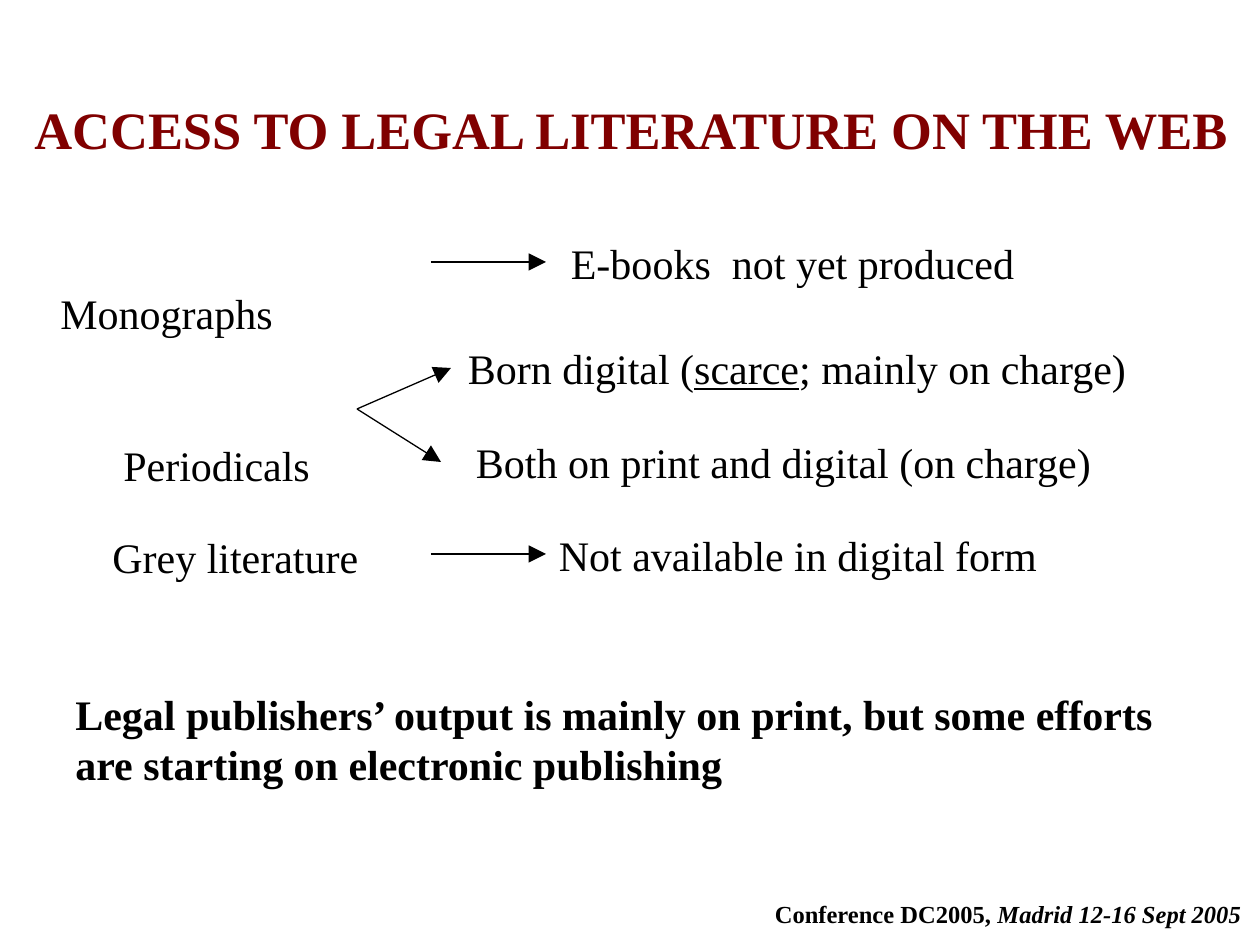
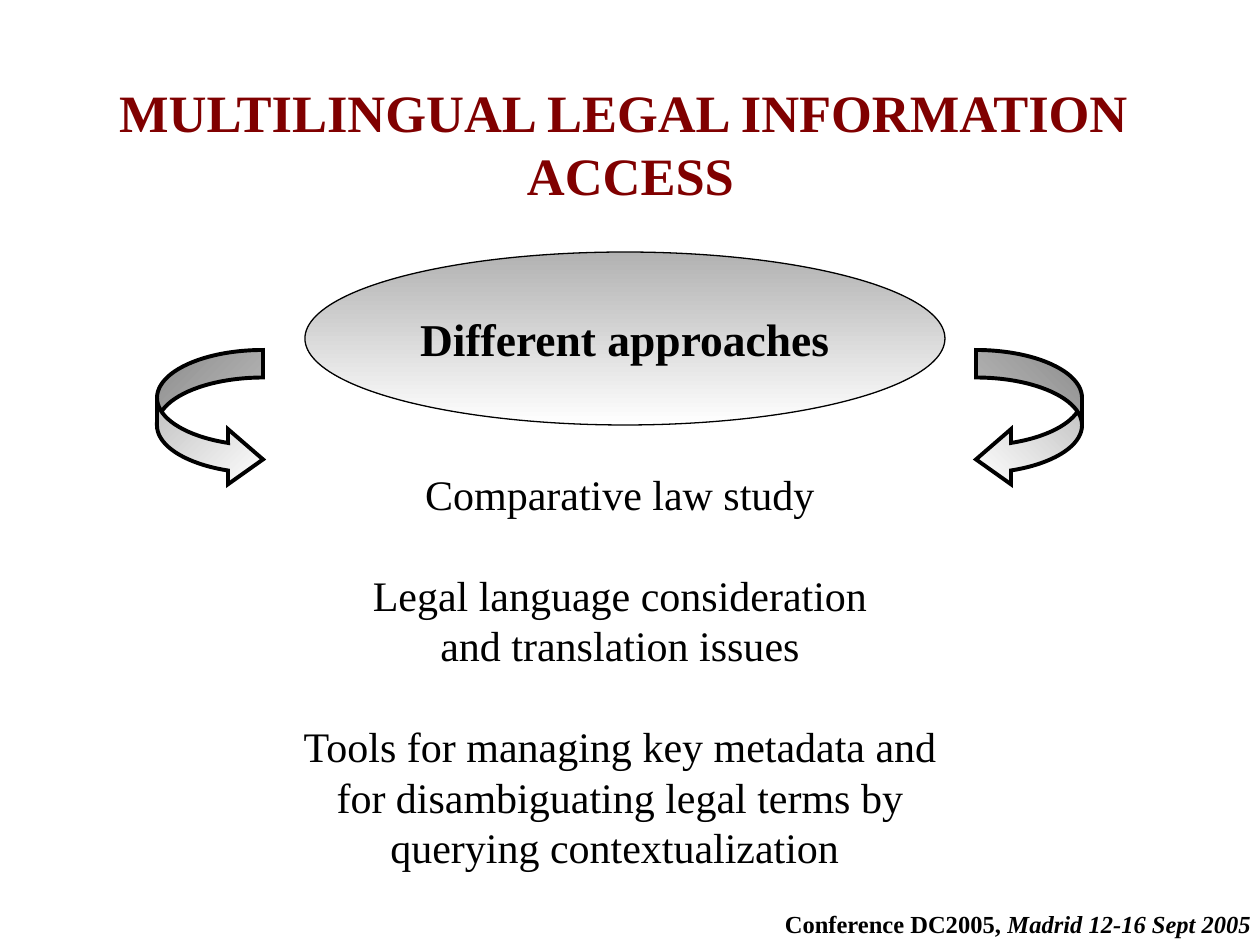
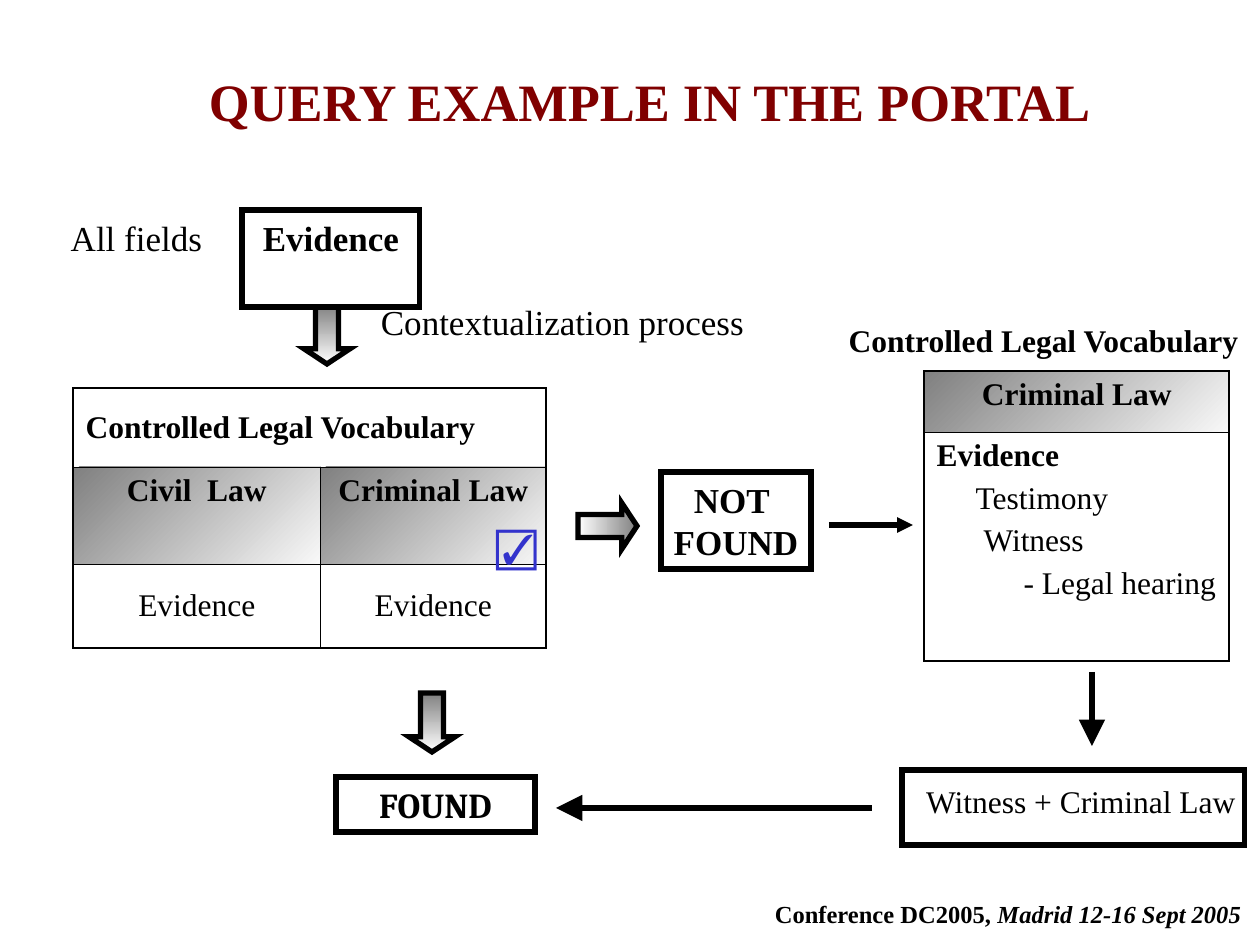
from pptx import Presentation
from pptx.dml.color import RGBColor
from pptx.enum.shapes import MSO_CONNECTOR, MSO_SHAPE
from pptx.enum.text import MSO_ANCHOR, MSO_AUTO_SIZE, PP_ALIGN
from pptx.oxml import parse_xml
from pptx.oxml.ns import nsdecls
from pptx.util import Emu, Pt


class Theme:
    font = "Times New Roman"
    black, white, maroon, blue = "000000", "FFFFFF", "800000", "3333CC"
    silver, grey, pale = "B2B2B2", "808080", "F8F8F8"
    title, lead, body, box, small, footer = 30, 26, 24, 20, 18, 14
    hairline, thick, curve = 0.75, 3, 2.25
    inner, outer = 0.45, 1.08


def px(*lengths):
    """Convert pixels (126 to the inch) to EMU."""
    return [Emu(round(n * 914400 / 126)) for n in lengths]


def write(tf, text, size=Theme.body, bold=False, color=Theme.black, font=Theme.font,
          align=PP_ALIGN.CENTER, anchor=MSO_ANCHOR.TOP, wrap=True,
          accent="italic", gaps={}, indents={}):
    """Newlines part paragraphs; every second part between bars gets the accent."""
    tf.word_wrap = wrap
    tf.vertical_anchor = anchor
    for i, line in enumerate(text.split("\n")):
        p = tf.paragraphs[0] if i == 0 else tf.add_paragraph()
        p.alignment = align
        if i in gaps:
            p.space_before = Pt(gaps[i])
        if i in indents:
            p._p.get_or_add_pPr().set("marL", str(px(indents[i])[0]))
        for j, part in enumerate(line.split("|")):
            r = p.add_run()
            r.text = part
            r.font.name, r.font.size, r.font.bold = font, Pt(size), bold
            r.font.color.rgb = RGBColor.from_string(color)
            if j % 2:
                setattr(r.font, accent, True)


prs = Presentation()
prs.slide_width, prs.slide_height = px(1260, 945)
LEFT, MIDDLE = PP_ALIGN.LEFT, MSO_ANCHOR.MIDDLE

# Slides with title and footer
pages = [
    ("ACCESS TO LEGAL LITERATURE ON THE WEB", (12, 91, 1239, 76), (766, 893)),
    ("MULTILINGUAL LEGAL INFORMATION \nACCESS", (91, 74, 1079, 139), (776, 903)),
    ("QUERY EXAMPLE IN THE PORTAL", (187, 63, 926, 76), (766, 893)),
]
slides = []
for title, box, corner in pages:
    s = prs.slides.add_slide(prs.slide_layouts[5])
    sp = s.shapes.title
    sp.left, sp.top, sp.width, sp.height = px(*box)
    sp.text_frame.auto_size = MSO_AUTO_SIZE.NONE
    write(sp.text_frame, title, size=Theme.title, bold=True, color=Theme.maroon)
    tf = s.shapes.add_textbox(*px(*corner, 484, 42)).text_frame
    tf.margin_left = tf.margin_right = 0
    write(tf, "Conference DC2005,| Madrid 12-16 Sept 2005", size=Theme.footer, bold=True)
    slides.append(s)
access, approaches, query = slides

# Gradients: fill, first colour, last colour, angle counted anticlockwise
gradients = []

# Vocabulary tables: each row has its height, shading, texts and format
heading = dict(bold=True)
tables = [
    ((73, 388), (247, 226), [
        (79, False, ["Controlled Legal Vocabulary"], dict(bold=True, align=LEFT, anchor=MIDDLE)),
        (97, True, ["Civil  Law", "Criminal Law"], heading),
        (84, False, ["Evidence", "Evidence"], dict(anchor=MIDDLE)),
    ]),
    ((924, 371), (305,), [
        (61, True, ["Criminal Law"], heading),
        (229, False, ["Evidence\nTestimony\nWitness\n- Legal hearing"],
         dict(align=LEFT, gaps={1: 4.5, 2: 4.5, 3: 4.5}, indents={1: 39, 2: 47, 3: 87})),
    ]),
]
for corner, widths, rows in tables:
    size = sum(widths), sum(row[0] for row in rows)
    tbl = query.shapes.add_table(len(rows), len(widths), *px(*corner, *size)).table
    tbl.first_row = tbl.horz_banding = False
    for col, width in zip(tbl.columns, px(*widths)):
        col.width = width
    for y, (height, shaded, texts, fmt) in enumerate(rows):
        tbl.rows[y].height = px(height)[0]
        if len(texts) < len(widths):
            tbl.cell(y, 0).merge(tbl.cell(y, len(widths) - 1))
        for x, text in enumerate(texts):
            cell = tbl.cell(y, x)
            cell.margin_right = 0 if fmt.get("indents") else px(12)[0]
            write(cell.text_frame, text, size=Theme.small, **fmt)
            cell.vertical_anchor = fmt.get("anchor", MSO_ANCHOR.TOP)
            edges = {"L": x == 0, "R": x == len(texts) - 1,
                     "T": y == 0, "B": y == len(rows) - 1}
            for side, outside in edges.items():
                width = Pt(Theme.outer if outside else Theme.inner)
                cell._tc.get_or_add_tcPr().append(parse_xml(
                    f'<a:ln{side} {nsdecls("a")} w="{width}"><a:solidFill>'
                    f'<a:srgbClr val="{Theme.black}"/></a:solidFill></a:ln{side}>'))
            if shaded:
                gradients.append((cell.fill, Theme.grey, Theme.pale, 315))
            else:
                cell.fill.background()
# The first entry of the second vocabulary is its headword
tbl.cell(1, 0).text_frame.paragraphs[0].runs[0].font.bold = True

# Shapes: slide, kind, box, line width, gradient, adjustments, text, format
block = (0.5, 0.33)
curl = (0.26, 0.52, 0.33)
fade = (Theme.grey, Theme.white, 270)
strong = dict(size=Theme.box, bold=True)
shapes = [
    (approaches, MSO_SHAPE.OVAL, (305, 252, 640, 173), Theme.hairline,
     (Theme.silver, Theme.white, 270), (), "Different approaches",
     dict(size=Theme.lead, bold=True, anchor=MIDDLE)),
    (approaches, MSO_SHAPE.CURVED_RIGHT_ARROW, (157, 350, 106, 137), Theme.curve,
     (Theme.white, Theme.silver, 135), curl, "", {}),
    (approaches, MSO_SHAPE.CURVED_LEFT_ARROW, (976, 350, 106, 137), Theme.curve,
     (Theme.white, Theme.silver, 45), curl, "", {}),
    (query, MSO_SHAPE.DOWN_ARROW, (304, 305, 46, 59), Theme.thick, fade, block, "", {}),
    (query, MSO_SHAPE.DOWN_ARROW, (409, 693, 46, 59), Theme.thick, fade, block, "", {}),
    (query, MSO_SHAPE.RIGHT_ARROW, (578, 503, 59, 46), Theme.thick,
     (Theme.white, Theme.grey, 0), block, "", {}),
    (query, MSO_SHAPE.RECTANGLE, (242, 210, 178, 97), Theme.thick, None, (),
     "Evidence", strong),
    (query, MSO_SHAPE.RECTANGLE, (336, 777, 199, 55), Theme.thick, None, (),
     "FOUND", dict(strong, font="Cambria")),
    (query, MSO_SHAPE.RECTANGLE, (661, 472, 150, 97), Theme.thick, None, (),
     "NOT \nFOUND", dict(strong, wrap=False)),
    (query, MSO_SHAPE.RECTANGLE, (902, 770, 343, 75), Theme.thick, None, (), "", {}),
]
for s, kind, box, width, gradient, adjustments, text, fmt in shapes:
    sp = s.shapes.add_shape(kind, *px(*box))
    sp.shadow.inherit = False
    sp.line.color.rgb = RGBColor.from_string(Theme.black)
    sp.line.width = Pt(width)
    sp.line._get_or_add_ln().append(parse_xml(f'<a:miter {nsdecls("a")} lim="800000"/>'))
    for i, value in enumerate(adjustments):
        sp.adjustments[i] = value
    if gradient:
        gradients.append((sp.fill, *gradient))
    else:
        sp.fill.solid()
        sp.fill.fore_color.rgb = RGBColor.from_string(Theme.white)
    if text:
        write(sp.text_frame, text, **fmt)

for fill, first, last, angle in gradients:
    fill.gradient()
    fill.gradient_angle = angle
    for stop, color in zip(fill.gradient_stops, (first, last)):
        stop.color.rgb = RGBColor.from_string(color)

# Labels: slide, box, text, format
labels = [
    (access, (48, 281, 300, 63), "Monographs", dict(align=LEFT)),
    (access, (111, 433, 300, 63), "Periodicals", dict(align=LEFT)),
    (access, (100, 525, 300, 63), "Grey literature", dict(align=LEFT)),
    (access, (536, 231, 513, 63), "E-books  not yet produced", {}),
    (access, (397, 336, 800, 63), "Born digital (|scarce|; mainly on charge)",
     dict(accent="underline")),
    (access, (406, 430, 755, 63), "Both on print and digital (on charge)", {}),
    (access, (503, 523, 590, 63), "Not available in digital form", {}),
    (access, (63, 682, 1119, 113),
     "Legal publishers’ output is mainly on print, but some efforts "
     "are starting on electronic publishing", dict(bold=True, align=LEFT)),
    (approaches, (263, 462, 714, 466),
     "Comparative law study\nLegal language consideration\nand translation issues\n"
     "Tools for managing key metadata and for disambiguating legal terms by "
     "querying contextualization ", dict(gaps={1: 29, 3: 29})),
    (query, (51, 210, 171, 55), "All fields", dict(size=Theme.box)),
    (query, (315, 294, 495, 55), "Contextualization process", dict(size=Theme.box)),
    (query, (827, 315, 433, 50), "Controlled Legal Vocabulary",
     dict(size=Theme.small, bold=True)),
    (query, (902, 776, 358, 50), "Witness + Criminal Law", dict(size=Theme.small)),
    (query, (483, 514, 64, 63), "☑", dict(font="Arial", color=Theme.blue, wrap=False)),
]
for s, box, text, fmt in labels:
    write(s.shapes.add_textbox(*px(*box)).text_frame, text, **fmt)

# Arrows: slide, start and end, line width, head size
arrows = [
    (access, (431, 262, 546, 262), Theme.hairline, "lg"),
    (access, (357, 409, 451, 368), Theme.hairline, "lg"),
    (access, (357, 409, 441, 462), Theme.hairline, "lg"),
    (access, (431, 554, 546, 554), Theme.hairline, "lg"),
    (query, (829, 525, 913, 525), Theme.thick, "med"),
    (query, (1092, 672, 1092, 746), Theme.thick, "lg"),
    (query, (872, 808, 556, 808), Theme.thick, "lg"),
]
for s, ends, width, head in arrows:
    sp = s.shapes.add_connector(MSO_CONNECTOR.STRAIGHT, *px(*ends))
    sp.line.color.rgb = RGBColor.from_string(Theme.black)
    sp.line.width = Pt(width)
    sp.line._get_or_add_ln().append(parse_xml(
        f'<a:tailEnd {nsdecls("a")} type="triangle" w="{head}" len="{head}"/>'))
    sp._element.spPr.append(parse_xml(f'<a:effectLst {nsdecls("a")}/>'))

prs.save("out.pptx")
